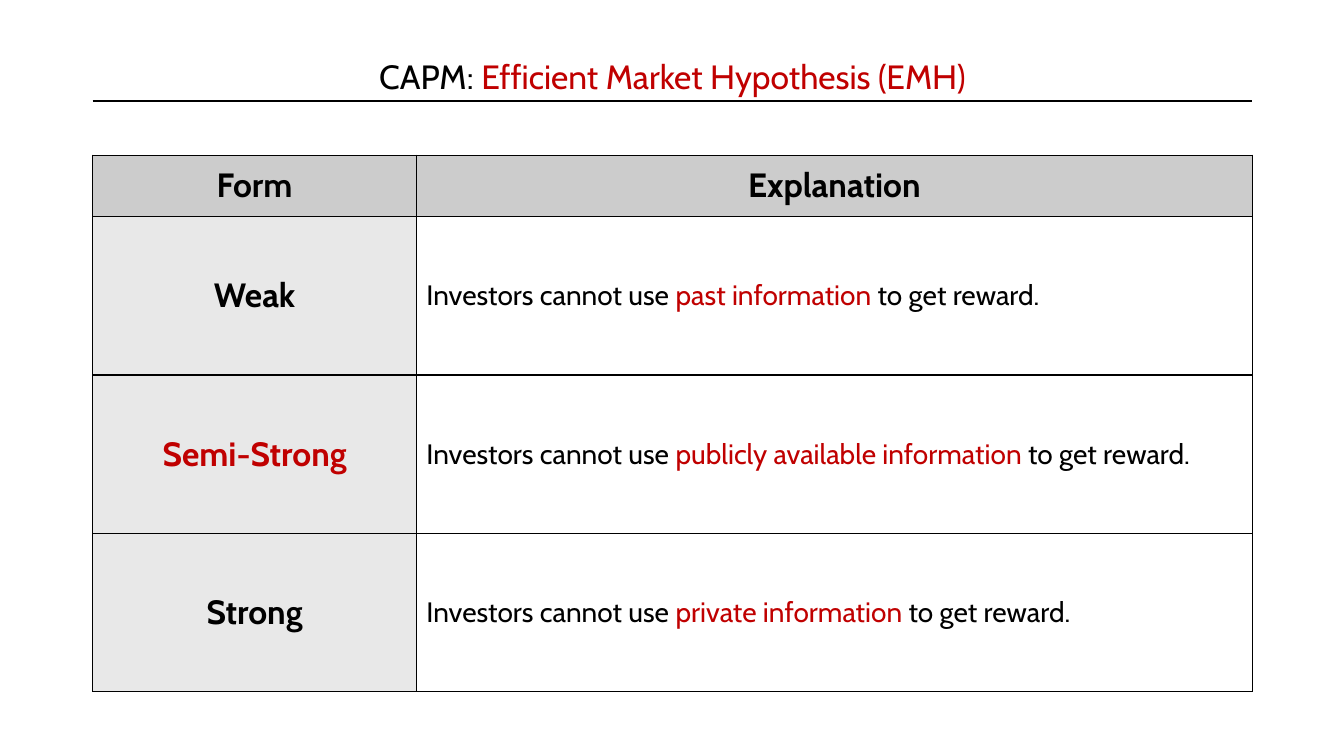
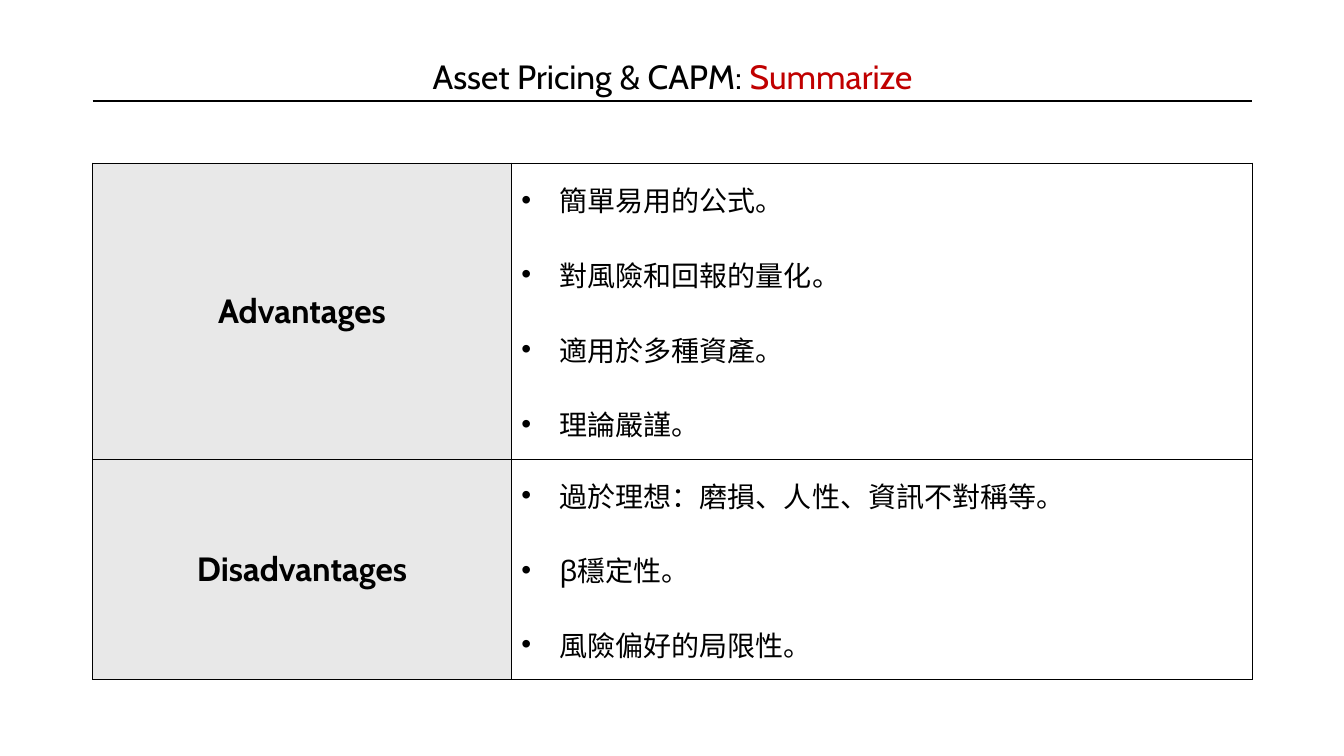
from lxml import etree
from pptx import Presentation, util as u
from pptx.dml.color import RGBColor
from pptx.enum import shapes, text
from pptx.oxml.ns import qn

INK = {"black": "000000", "red": "C00000", "head": "CCCCCC",
       "label": "E8E8E8", "white": "FFFFFF"}
FONT = "Cabin"
LEFT, WIDE = 0.92, 11.5


def color(name):
    return RGBColor.from_string(INK[name])


def write(para, words, size=20, bold=False, ink="black", align="LEFT"):
    para.alignment = getattr(text.PP_ALIGN, align)
    parts = [(words, ink)] if isinstance(words, str) else words
    for part, tint in parts:
        run = para.add_run()
        run.text = part
        font = run.font
        font.name, font.size, font.bold = FONT, u.Pt(size), bold
        font.color.rgb = color(tint)


def bullet(para, gap):
    para.space_before = u.Pt(gap)
    props = para._p.get_or_add_pPr()
    indent = u.Inches(0.38)
    props.set("marL", str(indent))
    props.set("indent", str(-indent))
    etree.SubElement(props, qn("a:buFont")).set("typeface", "Arial")
    etree.SubElement(props, qn("a:buChar")).set("char", "•")


def border(cell):
    props = cell._tc.get_or_add_tcPr()
    for spot, side in enumerate(("lnL", "lnR", "lnT", "lnB")):
        line = etree.Element(qn("a:" + side), w=str(u.Pt(1)))
        fill = etree.SubElement(line, qn("a:solidFill"))
        etree.SubElement(fill, qn("a:srgbClr")).set("val", INK["black"])
        props.insert(spot, line)


def paint(cell, fill):
    cell.fill.solid()
    cell.fill.fore_color.rgb = color(fill)
    cell.vertical_anchor = text.MSO_ANCHOR.MIDDLE
    border(cell)


def label(cell, words, fill="label", ink="black"):
    paint(cell, fill)
    write(cell.text_frame.paragraphs[0], words, size=24, bold=True,
          ink=ink, align="CENTER")


def add_page(deck, topic, focus):
    page = deck.slides.add_slide(deck.slide_layouts[5])
    title = page.shapes.title
    title.left, title.top = u.Inches(LEFT), u.Inches(0.5)
    title.width, title.height = u.Inches(WIDE), u.Inches(0.5)
    frame = title.text_frame
    frame.word_wrap = True
    frame.auto_size = text.MSO_AUTO_SIZE.NONE
    frame.vertical_anchor = text.MSO_ANCHOR.TOP
    write(frame.paragraphs[0], [(topic + ": ", "black"), (focus, "red")],
          size=24, align="CENTER")
    rule = page.shapes.add_connector(
        shapes.MSO_CONNECTOR.STRAIGHT, u.Inches(LEFT), u.Inches(1),
        u.Inches(LEFT + WIDE), u.Inches(1))
    rule.line.color.rgb = color("black")
    rule.line.width = u.Pt(1.5)
    etree.SubElement(rule._element.spPr, qn("a:effectLst"))
    return page


def add_grid(page, top, first, rows, header=False):
    cols = (first, WIDE - first)
    grid = page.shapes.add_table(
        len(rows), len(cols), u.Inches(LEFT), u.Inches(top),
        u.Inches(WIDE), u.Inches(sum(rows))).table
    grid.first_row, grid.horz_banding = header, False
    for col, size in zip(grid.columns, cols):
        col.width = u.Inches(size)
    for row, size in zip(grid.rows, rows):
        row.height = u.Inches(size)
    return grid


def add_forms(page, top, forms):
    grid = add_grid(page, top, 3.21, [0.61] + [1.57] * len(forms), header=True)
    for col, words in enumerate(("Form", "Explanation")):
        label(grid.cell(0, col), words, fill="head")
    for row, (form, facts, ink) in enumerate(forms, 1):
        label(grid.cell(row, 0), form, ink=ink)
        cell = grid.cell(row, 1)
        paint(cell, "white")
        write(cell.text_frame.paragraphs[0],
              [("Investors cannot use ", "black"), (facts, "red"),
               (" to get reward.", "black")])


def add_points(page, top, groups):
    grid = add_grid(page, top, 4.15, [size for _, size, _ in groups])
    for row, (name, _, points) in enumerate(groups):
        label(grid.cell(row, 0), name)
        cell = grid.cell(row, 1)
        paint(cell, "white")
        frame = cell.text_frame
        for spot, point in enumerate(points):
            para = frame.add_paragraph() if spot else frame.paragraphs[0]
            write(para, point)
            bullet(para, 24.3 if spot else 0)


def main():
    deck = Presentation()
    deck.slide_width, deck.slide_height = u.Inches(13.33), u.Inches(7.5)

    page = add_page(deck, "CAPM", "Efficient Market Hypothesis (EMH)")
    add_forms(page, 1.54, [
        ("Weak", "past information", "black"),
        ("Semi-Strong", "publicly available information", "red"),
        ("Strong", "private information", "black"),
    ])

    page = add_page(deck, "Asset Pricing & CAPM", "Summarize")
    add_points(page, 1.62, [
        ("Advantages", 2.94, ["簡單易用的公式。", "對風險和回報的量化。",
                              "適用於多種資產。", "理論嚴謹。"]),
        ("Disadvantages", 2.18, ["過於理想：磨損、人性、資訊不對稱等。",
                                 "β穩定性。", "風險偏好的局限性。"]),
    ])
    deck.save("out.pptx")


if __name__ == "__main__":
    main()
